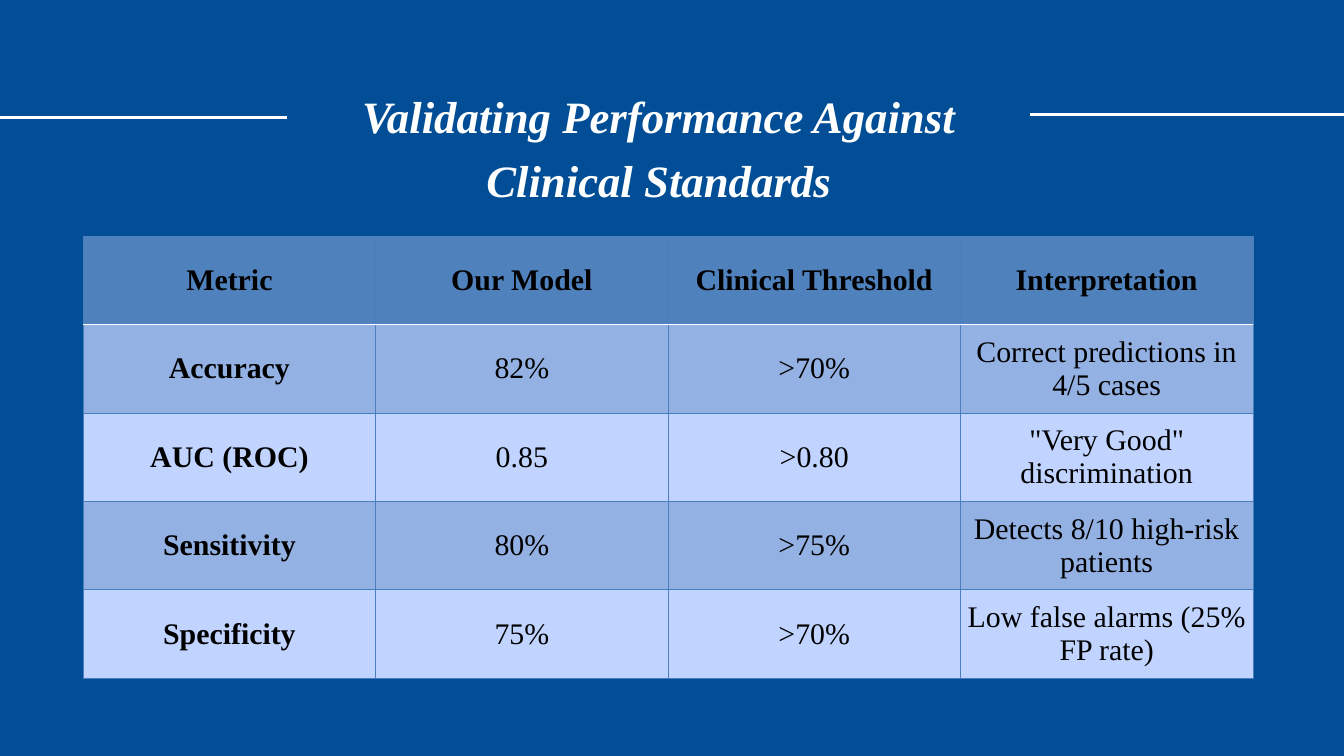
from lxml.etree import SubElement
from pptx import Presentation
from pptx.dml.color import RGBColor
from pptx.enum.shapes import MSO_CONNECTOR
from pptx.enum.text import MSO_ANCHOR, PP_ALIGN
from pptx.oxml.ns import qn
from pptx.util import Emu, Pt

PX = 9525
FONT = "Times New Roman"
NAVY = RGBColor(0x01, 0x4E, 0x97)
WHITE = RGBColor(0xFF, 0xFF, 0xFF)
BLACK = RGBColor(0x00, 0x00, 0x00)
HEADER = RGBColor(0x4F, 0x81, 0xBD)
BAND = RGBColor(0x93, 0xB1, 0xE3)
PALE = RGBColor(0xC0, 0xD4, 0xFF)
BORDER = RGBColor(0x4B, 0x7E, 0xBC)

ROWS = [
    ("Metric", "Our Model", "Clinical Threshold", "Interpretation"),
    ("Accuracy", "82%", ">70%", "Correct predictions in 4/5 cases"),
    ("AUC (ROC)", "0.85", ">0.80", '"Very Good" discrimination'),
    ("Sensitivity", "80%", ">75%", "Detects 8/10 high-risk patients"),
    ("Specificity", "75%", ">70%", "Low false alarms (25% FP rate)"),
]


class Deck:
    """Holds the text style and the current slide."""

    def __init__(self, width, height):
        self.prs = Presentation()
        self.prs.slide_width, self.prs.slide_height = self.px(width, height)
        self.s = self.prs.slides.add_slide(self.prs.slide_layouts[5])
        fill = self.s.background.fill
        fill.solid()
        fill.fore_color.rgb = NAVY

    def px(self, *lengths):
        return [Emu(n * PX) for n in lengths]

    def text(self, tf, text, size, color, bold=False, italic=False):
        p = tf.paragraphs[0]
        p.alignment = PP_ALIGN.CENTER
        r = p.add_run()
        r.text = text
        r.font.name, r.font.size = FONT, Pt(size)
        r.font.bold, r.font.italic = bold, italic
        r.font.color.rgb = color
        return p

    def title(self, text, x, y, w, h):
        sp = self.s.shapes.title
        sp.left, sp.top, sp.width, sp.height = self.px(x, y, w, h)
        tf = sp.text_frame
        tf.word_wrap = True
        tf.vertical_anchor = MSO_ANCHOR.TOP
        tf.margin_left = tf.margin_right = tf.margin_top = tf.margin_bottom = 0
        p = self.text(tf, text, 48, WHITE, bold=True, italic=True)
        p.line_spacing = 1.2

    def rule(self, x, y, length):
        line = self.s.shapes.add_connector(
            MSO_CONNECTOR.STRAIGHT, *self.px(x, y, x + length, y))
        line.line.color.rgb = WHITE
        line.line.width = Pt(3)
        SubElement(line._element.spPr, qn("a:effectLst"))

    def border(self, cell, side, color, width):
        ln = SubElement(cell._tc.get_or_add_tcPr(), qn(f"a:ln{side}"), w=str(Pt(width)))
        fill = SubElement(ln, qn("a:solidFill"))
        SubElement(fill, qn("a:srgbClr"), val=str(color))

    def cell(self, cell, text, row, col):
        cell.vertical_anchor = MSO_ANCHOR.MIDDLE
        cell.margin_left, cell.margin_right, cell.margin_top, cell.margin_bottom = self.px(9, 9, 9, 9)
        white_side = {0: "B", 1: "T"}.get(row)
        for side in "LRTB":
            color, width = (WHITE, 2) if side == white_side else (BORDER, 0.75)
            self.border(cell, side, color, width)
        cell.fill.solid()
        cell.fill.fore_color.rgb = HEADER if row == 0 else BAND if row % 2 else PALE
        self.text(cell.text_frame, text, 32, BLACK, bold=row == 0 or col == 0)

    def table(self, rows, x, y, w, h):
        table = self.s.shapes.add_table(len(rows), len(rows[0]), *self.px(x, y, w, h)).table
        for i, row in enumerate(rows):
            for j, text in enumerate(row):
                self.cell(table.cell(i, j), text, i, j)


def main():
    deck = Deck(1920, 1080)
    deck.title("Validating Performance Against Clinical Standards", 486, 111, 910, 186)
    deck.rule(-272, 168, 682)
    deck.rule(1471, 164, 682)
    deck.table(ROWS, 119, 337, 1671, 632)
    deck.prs.save("out.pptx")


if __name__ == "__main__":
    main()
